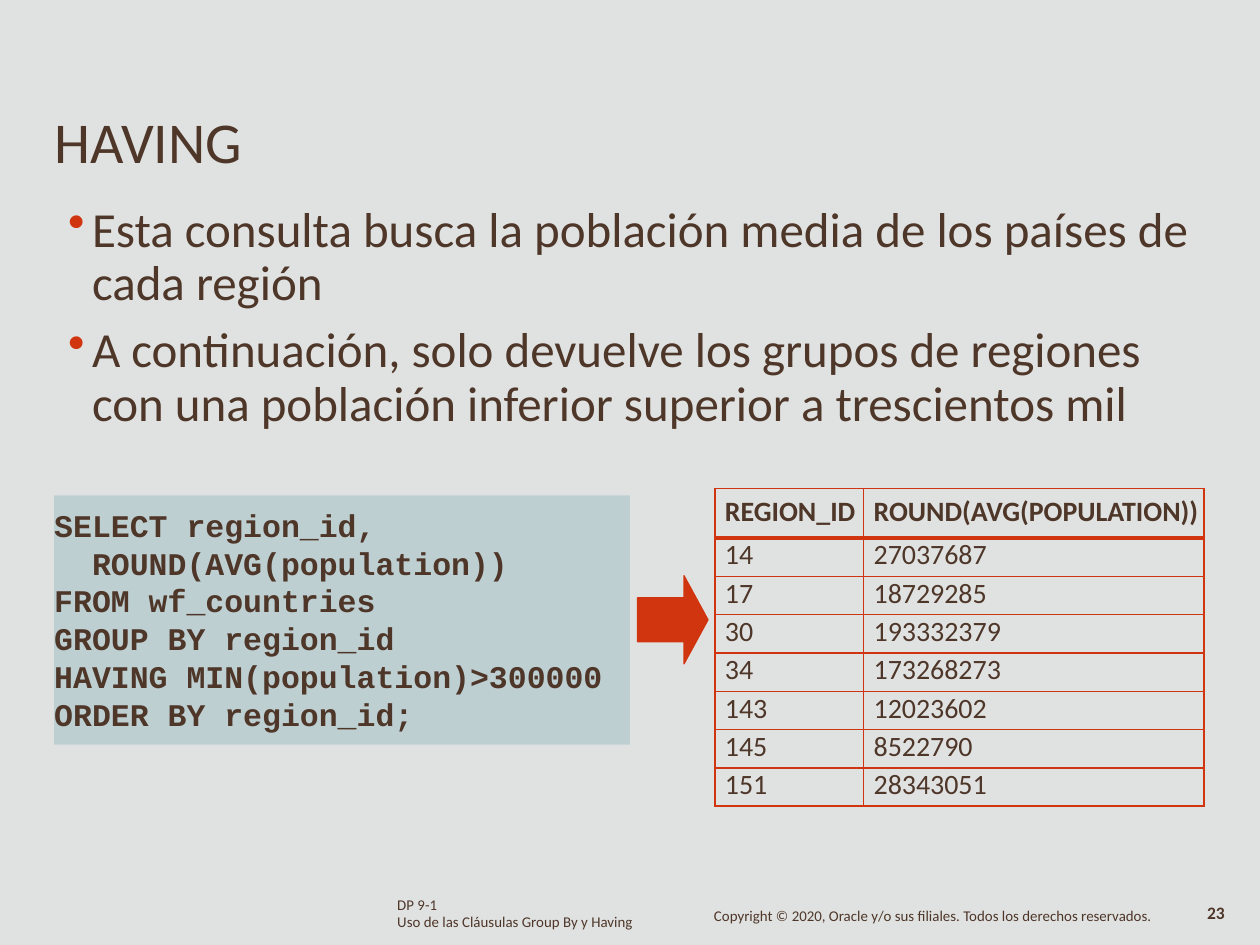
from dataclasses import dataclass

from lxml import etree
from pptx import Presentation
from pptx.dml.color import RGBColor
from pptx.enum.shapes import MSO_SHAPE
from pptx.enum.text import MSO_ANCHOR, MSO_AUTO_SIZE, PP_ALIGN
from pptx.oxml.ns import qn
from pptx.util import Pt

LEFT, TOP = PP_ALIGN.LEFT, MSO_ANCHOR.TOP
NO_AUTOFIT = MSO_AUTO_SIZE.NONE
RECTANGLE, RIGHT_ARROW = MSO_SHAPE.RECTANGLE, MSO_SHAPE.RIGHT_ARROW


@dataclass(frozen=True)
class Theme:
    background: str = "E0E2E1"
    ink: str = "4E3629"
    accent: str = "D1350F"
    code_fill: str = "9DBEC4"
    body_font: str = "Calibri"
    code_font: str = "Courier New"
    title_size: float = 33
    body_size: float = 28
    code_size: float = 18
    table_size: float = 16
    page_size: float = 10
    footer_size: float = 8.5


class SlideBuilder:
    def __init__(self, slide, theme):
        self.slide = slide
        self.theme = theme
        slide.background.fill.solid()
        slide.background.fill.fore_color.rgb = RGBColor.from_string(theme.background)

    def prepare_frame(self, frame, top_inset=0):
        frame.word_wrap = True
        frame.auto_size = NO_AUTOFIT
        frame.vertical_anchor = TOP
        frame.margin_left = frame.margin_right = frame.margin_bottom = 0
        frame.margin_top = Pt(top_inset)

    def add_lines(self, frame, lines, size, font=None, bold=False, pitches=None, gap=0):
        """Add one paragraph per line; pitches are exact line heights."""
        for index, line in enumerate(lines):
            paragraph = frame.paragraphs[0] if index == 0 else frame.add_paragraph()
            paragraph.alignment = LEFT
            if pitches:
                paragraph.line_spacing = Pt(pitches[index])
            paragraph.space_before = Pt(gap if index else 0)
            run = paragraph.add_run()
            run.text = line
            run.font.name = font or self.theme.body_font
            run.font.size = Pt(size)
            run.font.bold = bold
            run.font.color.rgb = RGBColor.from_string(self.theme.ink)

    def title(self, text, left, top, width, height):
        title = self.slide.shapes.title
        title.left, title.top = Pt(left), Pt(top)
        title.width, title.height = Pt(width), Pt(height)
        self.prepare_frame(title.text_frame, top_inset=1)
        self.add_lines(title.text_frame, [text], self.theme.title_size)

    def text(self, lines, left, top, width, height, size, top_inset=0, **style):
        box = self.slide.shapes.add_textbox(Pt(left), Pt(top), Pt(width), Pt(height))
        self.prepare_frame(box.text_frame, top_inset)
        self.add_lines(box.text_frame, lines, size, **style)
        return box.text_frame

    def bullets(self, lines, left, top, width, height):
        frame = self.text(lines, left, top, width, height, self.theme.body_size,
                          top_inset=5, pitches=[30.3] * len(lines), gap=8)
        for paragraph in frame.paragraphs:
            properties = paragraph._p.get_or_add_pPr()
            properties.set("marL", str(Pt(14.4)))
            properties.set("indent", str(-Pt(13.7)))
            color = etree.SubElement(properties, qn("a:buClr"))
            etree.SubElement(color, qn("a:srgbClr"), val=self.theme.accent)
            etree.SubElement(properties, qn("a:buChar"), char="•")

    def shape(self, kind, color, left, top, width, height):
        shape = self.slide.shapes.add_shape(kind, Pt(left), Pt(top), Pt(width), Pt(height))
        shape.shadow.inherit = False
        shape.fill.solid()
        shape.fill.fore_color.rgb = RGBColor.from_string(color)
        shape.line.fill.background()
        return shape

    def code(self, lines, left, top, width, height):
        panel = self.shape(RECTANGLE, self.theme.code_fill, left, top, width, height)
        fill_color = panel._element.spPr.find(qn("a:solidFill"))[0]
        etree.SubElement(fill_color, qn("a:alpha"), val="50000")
        self.prepare_frame(panel.text_frame, top_inset=6)
        self.add_lines(panel.text_frame, lines, self.theme.code_size, bold=True,
                       font=self.theme.code_font, pitches=[21.6] * len(lines))

    def arrow(self, left, top, width, height):
        arrow = self.shape(RIGHT_ARROW, self.theme.accent, left, top, width, height)
        arrow.adjustments[0] = 0.5
        arrow.adjustments[1] = 0.34
        arrow.line.color.rgb = RGBColor.from_string(self.theme.accent)
        arrow.line.width = Pt(0.72)

    def borders(self, cell, widths):
        properties = cell._tc.get_or_add_tcPr()
        for position, (side, width) in enumerate(widths.items()):
            line = etree.Element(qn(f"a:ln{side}"), w=str(Pt(width)))
            fill = etree.SubElement(line, qn("a:solidFill"))
            etree.SubElement(fill, qn("a:srgbClr"), val=self.theme.accent)
            properties.insert(position, line)

    def table(self, rows, left, top, column_widths, header_height, row_height):
        height = header_height + row_height * (len(rows) - 1)
        table = self.slide.shapes.add_table(
            len(rows), len(column_widths), Pt(left), Pt(top),
            Pt(sum(column_widths)), Pt(height)).table
        table.first_row = table.horz_banding = False
        for column, width in zip(table.columns, column_widths):
            column.width = Pt(width)
        for r, values in enumerate(rows):
            header = r == 0
            table.rows[r].height = Pt(header_height if header else row_height)
            for c, value in enumerate(values):
                cell = table.cell(r, c)
                cell.margin_left = Pt(5.76)
                cell.margin_right = cell.margin_bottom = 0
                cell.margin_top = Pt(3.6 if header else 0)
                cell.vertical_anchor = TOP
                cell.fill.background()
                self.borders(cell, {"L": 1, "R": 1, "T": 2.25 if r == 1 else 1,
                                    "B": 2.25 if header else 1})
                self.add_lines(cell.text_frame, [value], self.theme.table_size, bold=header)


def main():
    presentation = Presentation()
    presentation.slide_width, presentation.slide_height = Pt(720), Pt(540)
    theme = Theme()
    slide = presentation.slides.add_slide(presentation.slide_layouts[5])
    builder = SlideBuilder(slide, theme)

    # Title and explanation
    builder.title("HAVING", 31, 59.5, 492, 42)
    builder.bullets([
        "Esta consulta busca la población media de los países de cada región",
        "A continuación, solo devuelve los grupos de regiones "
        "con una población inferior superior a trescientos mil",
    ], 38.2, 112, 644, 165)

    # Query result
    builder.table([
        ("REGION_ID", "ROUND(AVG(POPULATION))"),
        ("14", "27037687"),
        ("17", "18729285"),
        ("30", "193332379"),
        ("34", "173268273"),
        ("143", "12023602"),
        ("145", "8522790"),
        ("151", "28343051"),
    ], 408.5, 279, (85, 194.4), 28.5, 21.9)

    # Query and arrow to its result
    builder.arrow(364.3, 329, 40.3, 50.4)
    builder.code([
        "SELECT region_id,",
        "  ROUND(AVG(population))",
        "FROM wf_countries",
        "GROUP BY region_id",
        "HAVING MIN(population)>300000",
        "ORDER BY region_id;",
    ], 31, 283, 329, 142.5)

    # Footer
    builder.text(["DP 9-1", "Uso de las Cláusulas Group By y Having"],
                 227, 513.4, 137, 19.4, theme.footer_size, pitches=[8.6, 9.7])
    builder.text(["23"], 689.8, 517, 17, 12, theme.page_size, bold=True, pitches=[10.4])
    builder.text(["Copyright © 2020, Oracle y/o sus filiales. Todos los derechos reservados."],
                 408, 519, 256, 11, theme.footer_size, pitches=[9.1])

    presentation.save("out.pptx")


if __name__ == "__main__":
    main()
